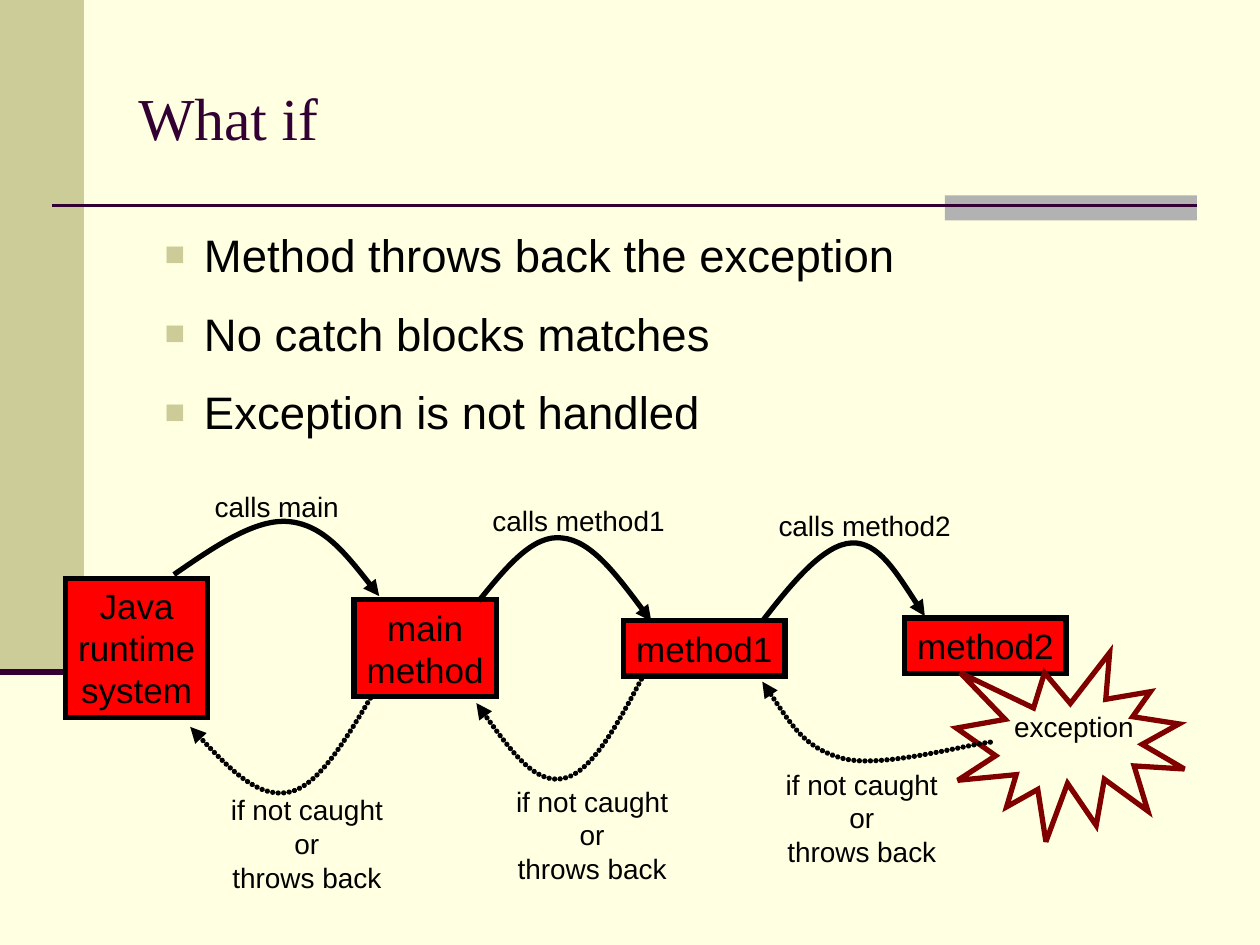
from lxml import etree
from pptx import Presentation
from pptx import util as u
from pptx.dml.color import RGBColor
from pptx.enum import shapes, text
from pptx.oxml import ns

Pt = u.Pt
INK, BLACK, SAND = "330033", "000000", "CCCC99"


def rgb(value):
    return RGBColor.from_string(value)


def add_text(sp, content, size, color=BLACK, font="Arial", align=text.PP_ALIGN.LEFT, wrap=False):
    tf = sp.text_frame
    tf.word_wrap = wrap
    if not wrap:
        tf.auto_size = text.MSO_AUTO_SIZE.SHAPE_TO_FIT_TEXT
    tf.text = content
    for p in tf.paragraphs:
        p.alignment = align
        for r in p.runs:
            r.font.size, r.font.name = Pt(size), font
            r.font.color.rgb = rgb(color)
    return tf


prs = Presentation()
prs.slide_width, prs.slide_height = Pt(720), Pt(540)
s = prs.slides.add_slide(prs.slide_layouts[6])
s.background.fill.solid()
s.background.fill.fore_color.rgb = rgb("FFFFE1")

# Side band and title accent
for x, y, w, h, color in [(0, 0, 48, 384, SAND), (540, 111.6, 144, 14.4, "B2B2B2")]:
    sp = s.shapes.add_shape(shapes.MSO_SHAPE.RECTANGLE, Pt(x), Pt(y), Pt(w), Pt(h))
    sp.shadow.inherit = False
    sp.fill.solid()
    sp.fill.fore_color.rgb = rgb(color)
    sp.line.fill.background()

# Rules under the title and the side band
for x1, x2, y, width in [(30, 684, 117.6, 1.5), (0, 48, 384, 3.5)]:
    cx = s.shapes.add_connector(shapes.MSO_CONNECTOR.STRAIGHT, Pt(x1), Pt(y), Pt(x2), Pt(y))
    cx.line.color.rgb = rgb(INK)
    cx.line.width = Pt(width)
    etree.SubElement(cx._element.spPr, ns.qn("a:effectLst"))

# Title
sp = s.shapes.add_textbox(Pt(72), Pt(21.6), Pt(612), Pt(90))
tf = add_text(sp, "What if", 34, INK, "Times New Roman", wrap=True)
tf.vertical_anchor = text.MSO_ANCHOR.MIDDLE

# Bulleted points
points = ["Method throws back the exception", "No catch blocks matches", "Exception is not handled"]
sp = s.shapes.add_textbox(Pt(72), Pt(126), Pt(612), Pt(154))
tf = add_text(sp, "\n".join(points), 26, wrap=True)
tf.margin_top = Pt(3.6)
for i, p in enumerate(tf.paragraphs):
    p.space_before = Pt(13.9 if i else 0)
    pPr = p._p.get_or_add_pPr()
    pPr.set("marL", str(Pt(37.5)))
    pPr.set("indent", str(Pt(-22.5)))
    color = etree.SubElement(pPr, ns.qn("a:buClr"))
    etree.SubElement(color, ns.qn("a:srgbClr"), val=SAND)
    etree.SubElement(pPr, ns.qn("a:buSzPct"), val="75000")
    etree.SubElement(pPr, ns.qn("a:buFont"), typeface="Arial")
    etree.SubElement(pPr, ns.qn("a:buChar"), char="■")

# Call stack boxes
for content, x, y, w, h in [
    ("Java\nruntime\nsystem", 37.4, 330.5, 81.4, 79.4),
    ("main\nmethod", 202.3, 342.7, 81.4, 55.4),
    ("method1", 356.4, 354.7, 92.2, 31.7),
    ("method2", 517, 353.1, 92.2, 31.7),
]:
    sp = s.shapes.add_shape(shapes.MSO_SHAPE.RECTANGLE, Pt(x), Pt(y), Pt(w), Pt(h))
    sp.shadow.inherit = False
    sp.fill.solid()
    sp.fill.fore_color.rgb = rgb("FF0000")
    sp.line.color.rgb = rgb(BLACK)
    sp.line.width = Pt(3)
    etree.SubElement(sp.line._get_or_add_ln(), ns.qn("a:miter"), lim="800000")
    add_text(sp, content, 20, align=text.PP_ALIGN.CENTER)

# Labels of the calls, the exception and the returns
returned = "if not caught\nor\nthrows back"
for content, x, y, w, h in [
    ("calls main", 115.6, 276.2, 87, 26.6),
    ("calls method1", 274.3, 284, 113, 26.6),
    ("calls method2", 437.8, 287.1, 113, 26.6),
    ("exception", 572.4, 402, 82.8, 26.6),
    (returned, 441.7, 434.9, 101.5, 65),
    (returned, 287.6, 444.6, 101.5, 65),
    (returned, 124.6, 449.6, 101.5, 65),
]:
    sp = s.shapes.add_textbox(Pt(x), Pt(y), Pt(w), Pt(h))
    align = text.PP_ALIGN.CENTER if content == returned else text.PP_ALIGN.LEFT
    add_text(sp, content, 16, align=align)

# Exception burst
sp = s.shapes.add_shape(shapes.MSO_SHAPE.EXPLOSION1, Pt(546.5), Pt(373), Pt(130.3), Pt(108))
sp.shadow.inherit = False
sp.fill.background()
sp.line.color.rgb = rgb("800000")
sp.line.width = Pt(3)
etree.SubElement(sp.line._get_or_add_ln(), ns.qn("a:miter"), lim="800000")

# Curved arrows: start, then two Bezier segments of three points; returns are dotted
calls = [
    [(99.4, 328.3), (122.4, 312.5), (146.2, 295.9), (165.6, 298.1), (185, 300.2), (200.9, 320.4), (216.7, 340.6)],
    [(273.6, 343.4), (289.4, 324), (304.6, 305.3), (321.1, 307.4), (337.7, 308.9), (355, 331.9), (372.2, 355)],
    [(435.6, 355), (452.9, 332.6), (470.9, 311), (486.7, 310.3), (501.8, 309.6), (514.8, 331.2), (528.5, 352.1)],
]
returns = [
    [(565.9, 424.1), (552.2, 425.5), (503.3, 439.2), (481.7, 433.4), (460.1, 427.7), (450.7, 411.8), (435.6, 389.5)],
    [(366.5, 388.1), (352.1, 415.4), (337, 442.8), (321.1, 445), (305.3, 447.8), (288.7, 424.8), (272.2, 401.8)],
    [(211.7, 398.9), (196.6, 424.1), (181.4, 450), (164.2, 452.9), (146.9, 455.8), (127.4, 435.6), (108.7, 415.4)],
]
for curve in calls + returns:
    (x, y), *rest = [(Pt(px), Pt(py)) for px, py in curve]
    fb = s.shapes.build_freeform(x, y)
    fb.add_line_segments(rest, close=False)
    sp = fb.convert_to_shape()
    sp.shadow.inherit = False
    sp.fill.background()
    sp.line.color.rgb = rgb(BLACK)
    sp.line.width = Pt(3)
    ln = sp.line._get_or_add_ln()
    if curve in returns:
        ln.set("cap", "rnd")
        dash = etree.SubElement(ln, ns.qn("a:custDash"))
        etree.SubElement(dash, ns.qn("a:ds"), d="100000", sp="5000")
    etree.SubElement(ln, ns.qn("a:round"))
    etree.SubElement(ln, ns.qn("a:tailEnd"), type="triangle")
    # Turn each three line segments into one cubic segment
    lines = list(sp._element.iter(ns.qn("a:lnTo")))
    for i in range(0, len(lines), 3):
        cubic = etree.Element(ns.qn("a:cubicBezTo"))
        lines[i].addprevious(cubic)
        for line in lines[i:i + 3]:
            cubic.append(line[0])
            line.getparent().remove(line)

prs.save("out.pptx")
